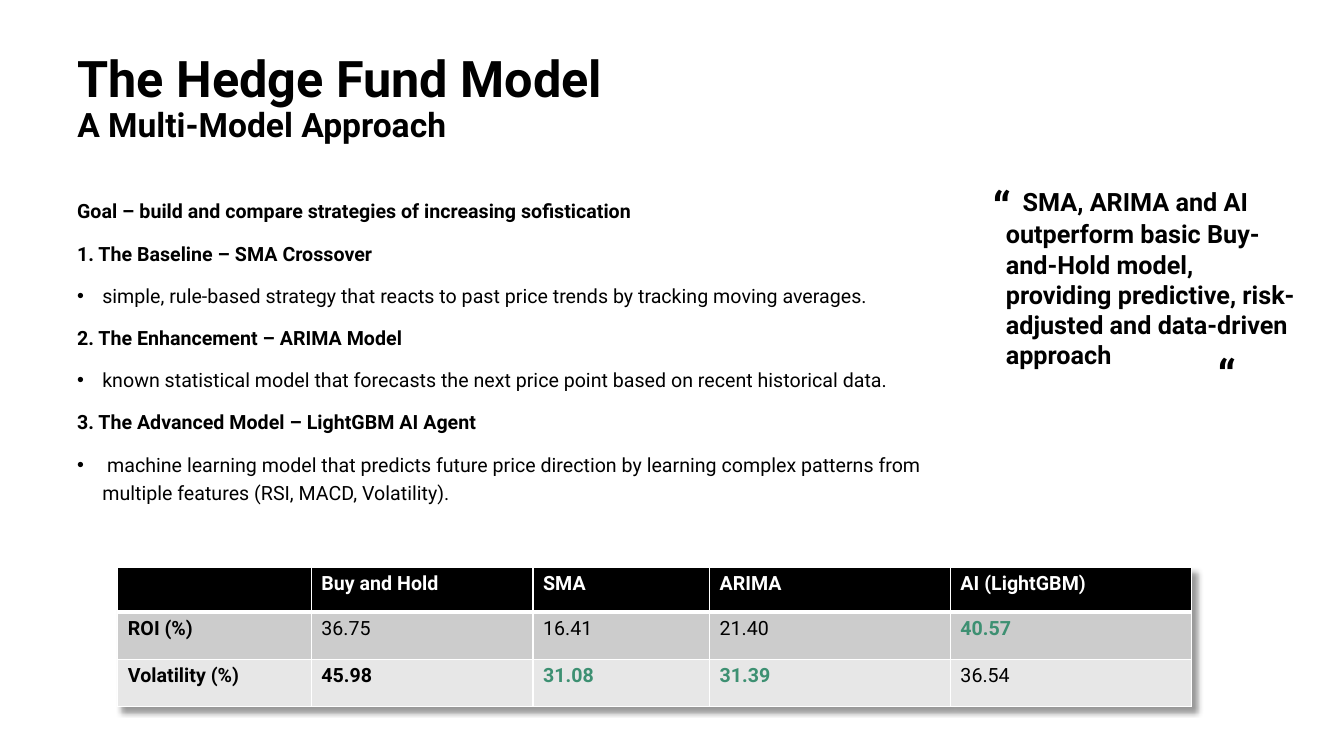
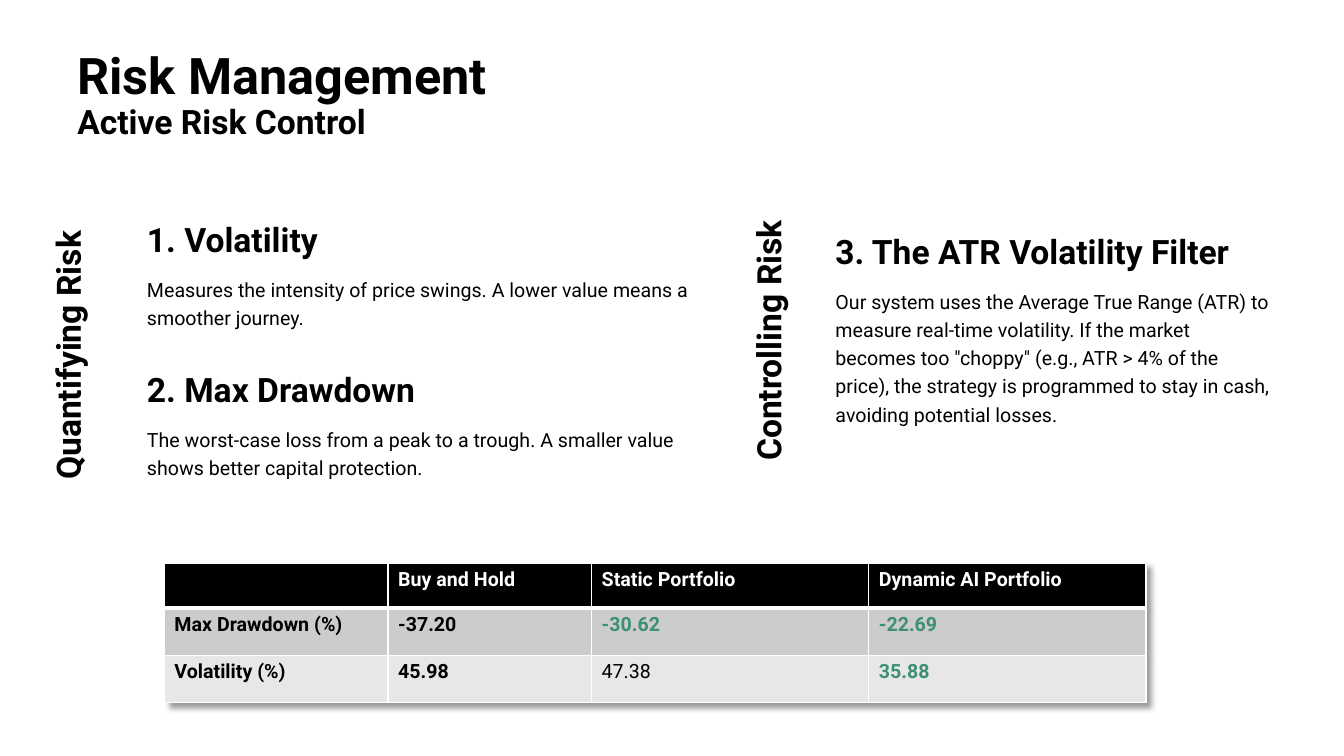
from dataclasses import dataclass, replace

from lxml.etree import SubElement
from pptx import Presentation
from pptx.dml.color import RGBColor
from pptx.enum.text import MSO_ANCHOR, MSO_AUTO_SIZE, PP_ALIGN
from pptx.oxml import parse_xml
from pptx.oxml.ns import nsdecls, qn
from pptx.presentation import Presentation as Deck
from pptx.slide import Slide
from pptx.table import _Cell
from pptx.text.text import TextFrame, _Paragraph
from pptx.util import Pt

FONT = "Roboto"
BLACK = "000000"
WHITE = "FFFFFF"
GREEN = "3D9072"
ROW_FILLS = (BLACK, "CCCCCC", "E7E7E7")
ROW_HEIGHTS = (31.7, 33.8, 33.8)
THIN, THICK = 1, 3
BULLET_INDENT = 18


@dataclass(frozen=True)
class Style:
    size: float = 14
    bold: bool = False
    color: str = BLACK


BODY = Style()
STRONG = Style(bold=True)
BEST = Style(bold=True, color=GREEN)
HEADER = Style(bold=True, color=WHITE)
TITLE = Style(36, True)
HEADING = Style(24, True)
QUOTE = Style(18, True)
QUOTE_MARK = Style(32, True)


@dataclass(frozen=True)
class Box:
    left: float
    top: float
    width: float
    height: float


@dataclass(frozen=True)
class Line:
    text: str
    style: Style = BODY
    bullet: bool = False


@dataclass(frozen=True)
class Entry:
    text: str
    style: Style = BODY


@dataclass(frozen=True)
class TextBlock:
    box: Box
    lines: tuple[Line, ...]
    rotation: float = 0


@dataclass(frozen=True)
class Results:
    left: float
    top: float
    widths: tuple[float, ...]
    headers: tuple[str, ...]
    rows: tuple[tuple[Entry, ...], ...]


def rgb(color: str) -> RGBColor:
    return RGBColor.from_string(color)


def add_run(paragraph: _Paragraph, text: str, style: Style) -> None:
    run = paragraph.add_run()
    run.text = text
    run.font.name = FONT
    run.font.size = Pt(style.size)
    run.font.bold = style.bold
    run.font.color.rgb = rgb(style.color)


def indent(paragraph: _Paragraph, margin: float, first_line: float) -> None:
    properties = paragraph._p.get_or_add_pPr()
    properties.set("marL", str(Pt(margin)))
    properties.set("indent", str(Pt(first_line)))


def next_paragraph(frame: TextFrame, index: int) -> _Paragraph:
    return frame.add_paragraph() if index else frame.paragraphs[0]


def add_frame(slide: Slide, box: Box, rotation: float = 0) -> TextFrame:
    shape = slide.shapes.add_textbox(Pt(box.left), Pt(box.top), Pt(box.width), Pt(box.height))
    shape.rotation = rotation
    shape.text_frame.word_wrap = True
    return shape.text_frame


def add_titled_slide(deck: Deck, top: float, heading: str, subtitle: str) -> Slide:
    slide = deck.slides.add_slide(deck.slide_layouts[5])
    title = slide.shapes.title
    title.left, title.top, title.width, title.height = Pt(48), Pt(top), Pt(839), Pt(89.3)
    frame = title.text_frame
    frame.auto_size = MSO_AUTO_SIZE.NONE
    frame.vertical_anchor = MSO_ANCHOR.TOP
    for index, (text, style) in enumerate(((heading, TITLE), (subtitle, HEADING))):
        paragraph = next_paragraph(frame, index)
        paragraph.alignment = PP_ALIGN.LEFT
        paragraph.line_spacing = 0.9
        paragraph.space_before = Pt(0)
        add_run(paragraph, text, style)
    return slide


def add_block(slide: Slide, block: TextBlock) -> None:
    frame = add_frame(slide, block.box, block.rotation)
    for index, line in enumerate(block.lines):
        paragraph = next_paragraph(frame, index)
        paragraph.line_spacing = 1.2
        paragraph.space_before = Pt(10)
        if line.bullet:
            indent(paragraph, BULLET_INDENT, -BULLET_INDENT)
            properties = paragraph._p.get_or_add_pPr()
            SubElement(properties, qn("a:buFont"), typeface="Arial")
            SubElement(properties, qn("a:buChar"), char="•")
        add_run(paragraph, line.text, line.style)


def add_quote(slide: Slide, text: str) -> None:
    paragraph = add_frame(slide, Box(711.4, 123.8, 228.2, 145.4)).paragraphs[0]
    indent(paragraph, 0, 6)
    add_run(paragraph, " ", HEADING)
    add_run(paragraph, text, QUOTE)
    for left, top in ((702, 124.6), (862.6, 244.8)):
        mark = add_frame(slide, Box(left, top, 31.7, 46.1))
        add_run(mark.paragraphs[0], "“", QUOTE_MARK)


def format_cell(cell: _Cell, row: int) -> None:
    properties = cell._tc.get_or_add_tcPr()
    edges = {
        "lnL": THIN,
        "lnR": THIN,
        "lnT": THICK if row == 1 else THIN,
        "lnB": THICK if row == 0 else THIN,
    }
    for tag, width in edges.items():
        edge = SubElement(properties, qn(f"a:{tag}"), w=str(Pt(width)))
        fill = SubElement(edge, qn("a:solidFill"))
        SubElement(fill, qn("a:srgbClr"), val=WHITE)
    cell.fill.solid()
    cell.fill.fore_color.rgb = rgb(ROW_FILLS[row])


def add_results(slide: Slide, results: Results) -> None:
    header = (Entry(""), *(Entry(text, HEADER) for text in results.headers))
    rows = (header, *results.rows)
    table = slide.shapes.add_table(
        len(rows), len(results.widths), Pt(results.left), Pt(results.top),
        Pt(sum(results.widths)), Pt(sum(ROW_HEIGHTS)),
    ).table
    shadow = parse_xml(
        f'<a:effectLst {nsdecls("a")}>'
        f'<a:outerShdw blurRad="{Pt(4)}" dist="{Pt(4)}" dir="2700000" algn="tl" rotWithShape="0">'
        f'<a:srgbClr val="{BLACK}"><a:alpha val="40000"/></a:srgbClr>'
        "</a:outerShdw></a:effectLst>"
    )
    table._tbl.tblPr.insert(0, shadow)
    for column, width in zip(table.columns, results.widths):
        column.width = Pt(width)
    for row, entries in enumerate(rows):
        table.rows[row].height = Pt(ROW_HEIGHTS[row])
        for column, entry in enumerate(entries):
            cell = table.cell(row, column)
            format_cell(cell, row)
            if entry.text:
                add_run(cell.text_frame.paragraphs[0], entry.text, entry.style)


STRATEGIES = TextBlock(Box(48, 135.4, 617.8, 323.3), (
    Line("Goal – build and compare strategies of increasing sofistication", STRONG),
    Line("1. The Baseline – SMA Crossover", STRONG),
    Line("simple, rule-based strategy that reacts to past price trends by tracking moving averages.", bullet=True),
    Line("2. The Enhancement – ARIMA Model", STRONG),
    Line("known statistical model that forecasts the next price point based on recent historical data.", bullet=True),
    Line("3. The Advanced Model – LightGBM AI Agent", STRONG),
    Line(
        " machine learning model that predicts future price direction by learning complex patterns "
        "from multiple features (RSI, MACD, Volatility).",
        bullet=True,
    ),
))

MODEL_RESULTS = Results(
    84.2, 405.4, (138.2, 158.4, 126, 172.1, 172.1),
    ("Buy and Hold", "SMA", "ARIMA", "AI (LightGBM)"),
    (
        (Entry("ROI (%)", STRONG), Entry("36.75"), Entry("16.41"), Entry("21.40"), Entry("40.57", BEST)),
        (Entry("Volatility (%)", STRONG), Entry("45.98", STRONG), Entry("31.08", BEST),
         Entry("31.39", BEST), Entry("36.54")),
    ),
)

VOLATILITY_BOX = Box(97.9, 146.9, 405.4, 107.3)
QUANTIFYING_BOX = Box(-33.1, 185, 222.5, 107.3)

RISK_BLOCKS = (
    TextBlock(VOLATILITY_BOX, (
        Line("1. Volatility", HEADING),
        Line("Measures the intensity of price swings. A lower value means a smoother journey."),
    )),
    TextBlock(replace(VOLATILITY_BOX, top=VOLATILITY_BOX.top + VOLATILITY_BOX.height), (
        Line("2. Max Drawdown", HEADING),
        Line("The worst-case loss from a peak to a trough. A smaller value shows better capital protection."),
    )),
    TextBlock(QUANTIFYING_BOX, (Line("Quantifying Risk", HEADING),), 270),
    TextBlock(Box(589.7, 155.5, 324.7, 190.8), (
        Line("3. The ATR Volatility Filter", HEADING),
        Line(
            "Our system uses the Average True Range (ATR) to measure real-time volatility. "
            'If the market becomes too "choppy" (e.g., ATR > 4% of the price), the strategy is '
            "programmed to stay in cash, avoiding potential losses."
        ),
    )),
    TextBlock(replace(QUANTIFYING_BOX, left=467.3, top=171.4), (Line("Controlling Risk", HEADING),), 270),
)

RISK_RESULTS = Results(
    117.4, 402.5, (159.8, 145.4, 198, 198),
    ("Buy and Hold", "Static Portfolio", "Dynamic AI Portfolio"),
    (
        (Entry("Max Drawdown (%)", STRONG), Entry("-37.20", STRONG), Entry("-30.62", BEST), Entry("-22.69", BEST)),
        (Entry("Volatility (%)", STRONG), Entry("45.98", STRONG), Entry("47.38"), Entry("35.88", BEST)),
    ),
)


def main() -> None:
    deck = Presentation()
    deck.slide_width, deck.slide_height = Pt(960), Pt(540)

    model = add_titled_slide(deck, 35.3, "The Hedge Fund Model", "A Multi-Model Approach")
    add_block(model, STRATEGIES)
    add_results(model, MODEL_RESULTS)
    add_quote(
        model,
        "SMA, ARIMA and AI outperform basic Buy-and-Hold model, "
        "providing predictive, risk-adjusted and data-driven approach",
    )

    risk = add_titled_slide(deck, 33.1, "Risk Management", "Active Risk Control")
    for block in RISK_BLOCKS:
        add_block(risk, block)
    add_results(risk, RISK_RESULTS)

    deck.save("out.pptx")


if __name__ == "__main__":
    main()
